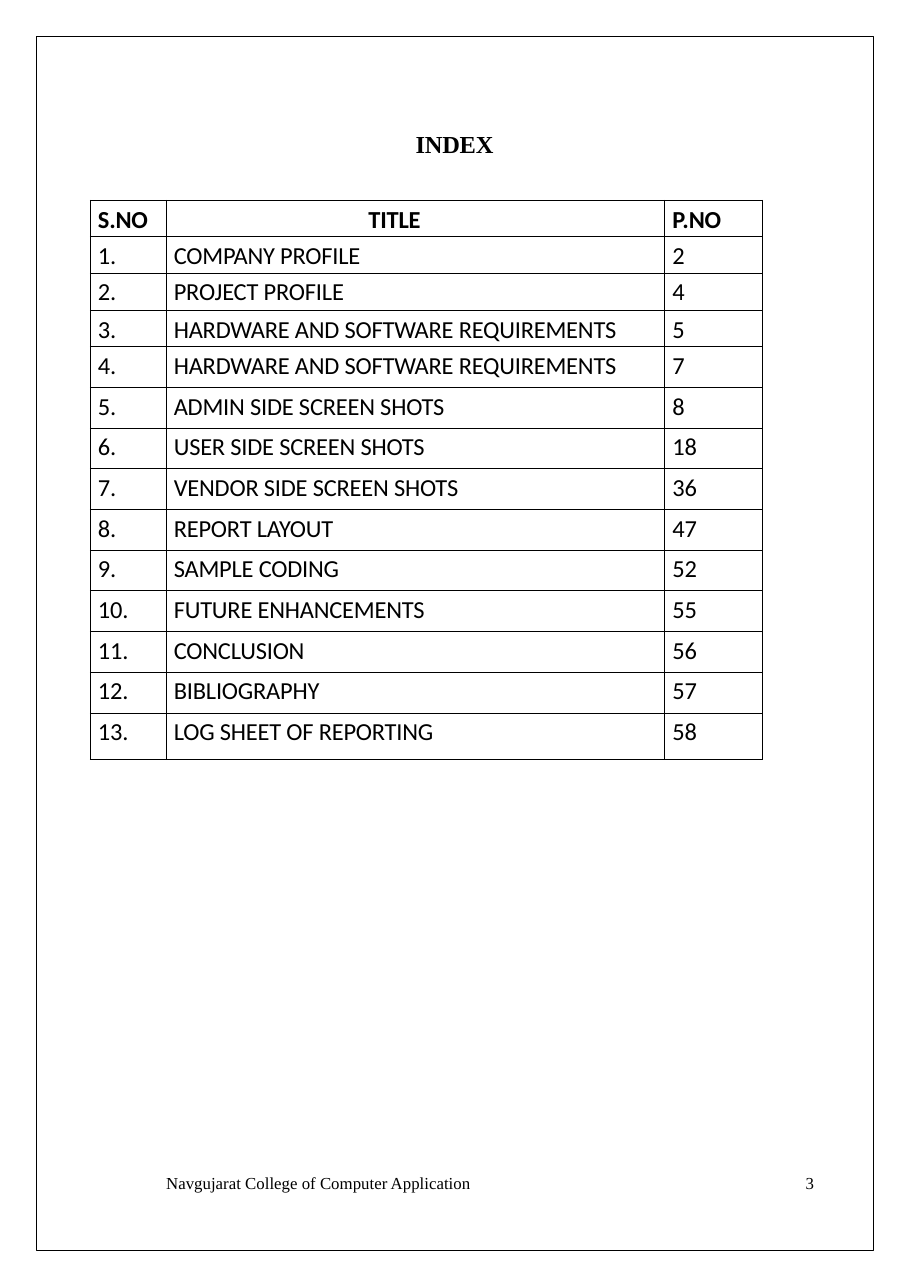
from dataclasses import dataclass

from lxml import etree
from pptx import Presentation
from pptx.dml.color import RGBColor
from pptx.enum.shapes import MSO_SHAPE
from pptx.enum.text import MSO_ANCHOR, MSO_AUTO_SIZE, PP_ALIGN
from pptx.oxml.ns import qn
from pptx.util import Inches, Pt

RECTANGLE = MSO_SHAPE.RECTANGLE
TOP = MSO_ANCHOR.TOP
NO_AUTOFIT = MSO_AUTO_SIZE.NONE
LEFT, CENTER = PP_ALIGN.LEFT, PP_ALIGN.CENTER


@dataclass(frozen=True)
class Theme:
    ink: RGBColor = RGBColor(0, 0, 0)
    serif: str = "Times New Roman"
    sans: str = "Calibri"
    large: float = 16
    small: float = 11
    rule: float = 0.5
    tracking: int = -10


THEME = Theme()

HEADER = ("S.NO", "TITLE", "P.NO")
CHAPTERS = [
    ("COMPANY PROFILE", 2),
    ("PROJECT PROFILE", 4),
    ("HARDWARE AND SOFTWARE REQUIREMENTS", 5),
    ("HARDWARE AND SOFTWARE REQUIREMENTS", 7),
    ("ADMIN SIDE SCREEN SHOTS", 8),
    ("USER SIDE SCREEN SHOTS", 18),
    ("VENDOR SIDE SCREEN SHOTS", 36),
    ("REPORT LAYOUT", 47),
    ("SAMPLE CODING", 52),
    ("FUTURE ENHANCEMENTS", 55),
    ("CONCLUSION", 56),
    ("BIBLIOGRAPHY", 57),
    ("LOG SHEET OF REPORTING", 58),
]
COLUMN_WIDTHS = [0.69, 4.53, 0.89]
ROW_HEIGHTS = [0.33, 0.33, 0.34, 0.33] + [0.37] * 9 + [0.42]


def write(tf, text, font, size, bold=False, align=LEFT, tracking=0):
    p = tf.paragraphs[0]
    p.alignment = align
    r = p.add_run()
    r.text = text
    r._r.get_or_add_rPr().set("spc", str(tracking))
    p.font.name = font
    p.font.size = Pt(size)
    p.font.bold = bold
    p.font.color.rgb = THEME.ink
    return p


def clear_insets(tf):
    tf.margin_left = tf.margin_right = tf.margin_top = tf.margin_bottom = 0
    tf.vertical_anchor = TOP
    tf.auto_size = NO_AUTOFIT
    tf.word_wrap = False


def add_title(s, x, y, w, h):
    sp = s.shapes.title
    sp.left, sp.top, sp.width, sp.height = map(Inches, (x, y, w, h))
    tf = sp.text_frame
    clear_insets(tf)
    tf.margin_top = Inches(0.01)
    write(tf, "INDEX", THEME.serif, THEME.large, True, CENTER, THEME.tracking)


def add_borders(cell):
    tcPr = cell._tc.get_or_add_tcPr()
    for side in ("lnL", "lnR", "lnT", "lnB"):
        ln = etree.SubElement(tcPr, qn(f"a:{side}"), w=str(Pt(THEME.rule)))
        fill = etree.SubElement(ln, qn("a:solidFill"))
        etree.SubElement(fill, qn("a:srgbClr"), val=str(THEME.ink))


def add_index(s, x, y, w, h):
    rows = [HEADER] + [
        (f"{number}.", title, str(page))
        for number, (title, page) in enumerate(CHAPTERS, 1)
    ]
    table = s.shapes.add_table(
        len(rows), len(HEADER), Inches(x), Inches(y), Inches(w), Inches(h)
    ).table
    table.first_row = table.horz_banding = False
    for column, width in zip(table.columns, COLUMN_WIDTHS):
        column.width = Inches(width)
    for i, (row, height) in enumerate(zip(table.rows, ROW_HEIGHTS)):
        row.height = Inches(height)
        for j, (cell, text) in enumerate(zip(row.cells, rows[i])):
            is_header = i == 0
            centered = is_header and j == 1
            cell.margin_left = Inches(0 if centered else 0.07)
            cell.margin_right = Inches(0.38 if centered else 0)
            cell.margin_top = Inches(0.04)
            cell.margin_bottom = 0
            add_borders(cell)
            cell.fill.background()
            write(cell.text_frame, text, THEME.sans, THEME.large,
                  is_header, CENTER if centered else LEFT, THEME.tracking)


def add_page_frame(s, x, y, w, h):
    sp = s.shapes.add_shape(RECTANGLE, Inches(x), Inches(y), Inches(w), Inches(h))
    sp.shadow.inherit = False
    sp.fill.background()
    sp.line.color.rgb = THEME.ink
    sp.line.width = Pt(THEME.rule)


def add_footer(s, x, y, w, h):
    number_width = 0.16
    parts = [
        ("Navgujarat College of Computer Application", x + 0.01, 2.78, LEFT),
        ("3", x + w - number_width, number_width, CENTER),
    ]
    for text, left, width, align in parts:
        sp = s.shapes.add_textbox(Inches(left), Inches(y), Inches(width), Inches(h))
        clear_insets(sp.text_frame)
        p = write(sp.text_frame, text, THEME.serif, THEME.small, align=align)
        p.line_spacing = Pt(13.1)


def main():
    prs = Presentation()
    prs.slide_width = Pt(596)
    prs.slide_height = Pt(842.5)
    s = prs.slides.add_slide(prs.slide_layouts[5])
    add_title(s, 3.76, 1.16, 0.74, 0.29)
    add_index(s, 0.82, 1.82, sum(COLUMN_WIDTHS), sum(ROW_HEIGHTS))
    add_page_frame(s, 0.33, 0.33, 7.61, 11.03)
    add_footer(s, 1.5, 10.66, 5.94, 0.2)
    prs.save("out.pptx")


if __name__ == "__main__":
    main()
